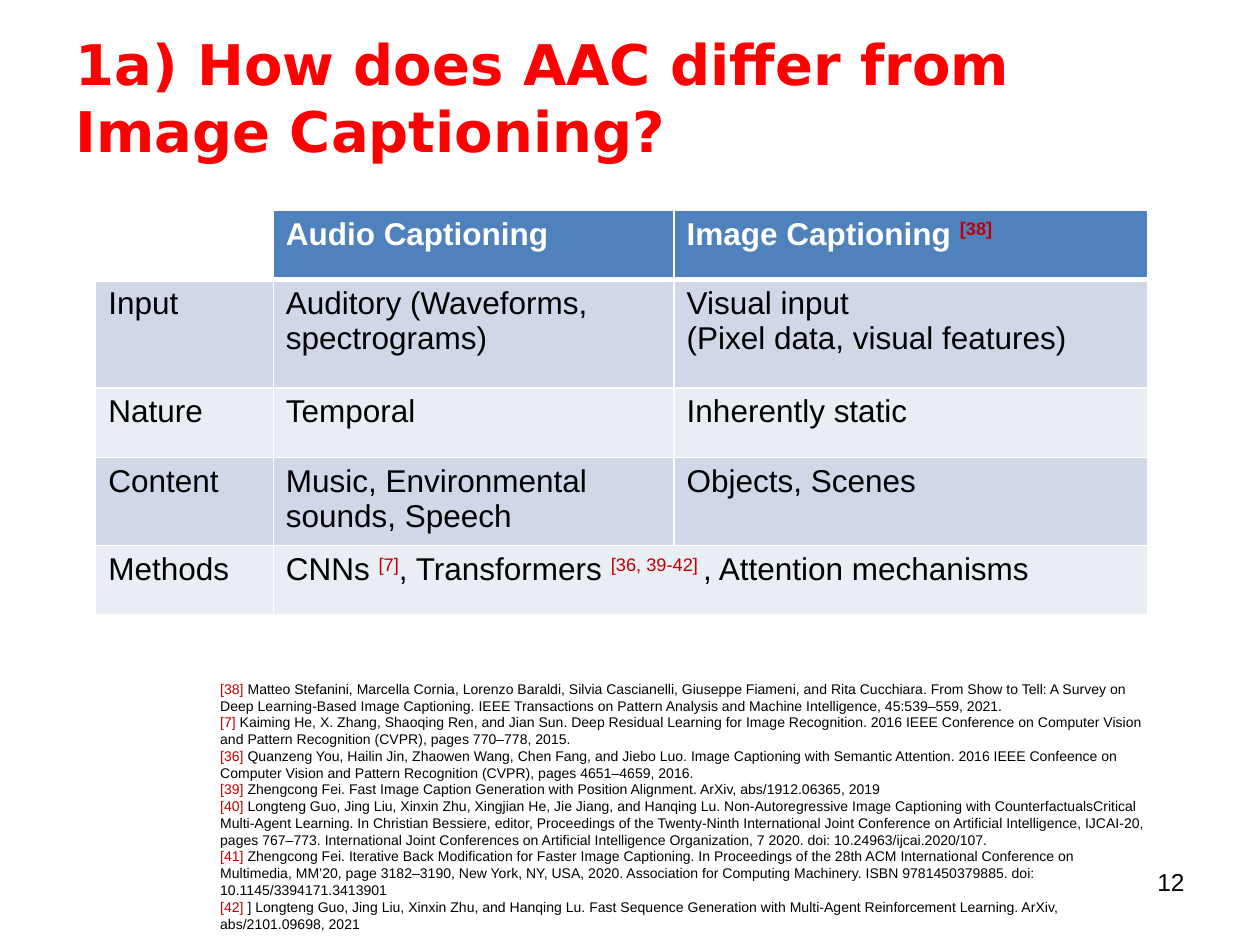
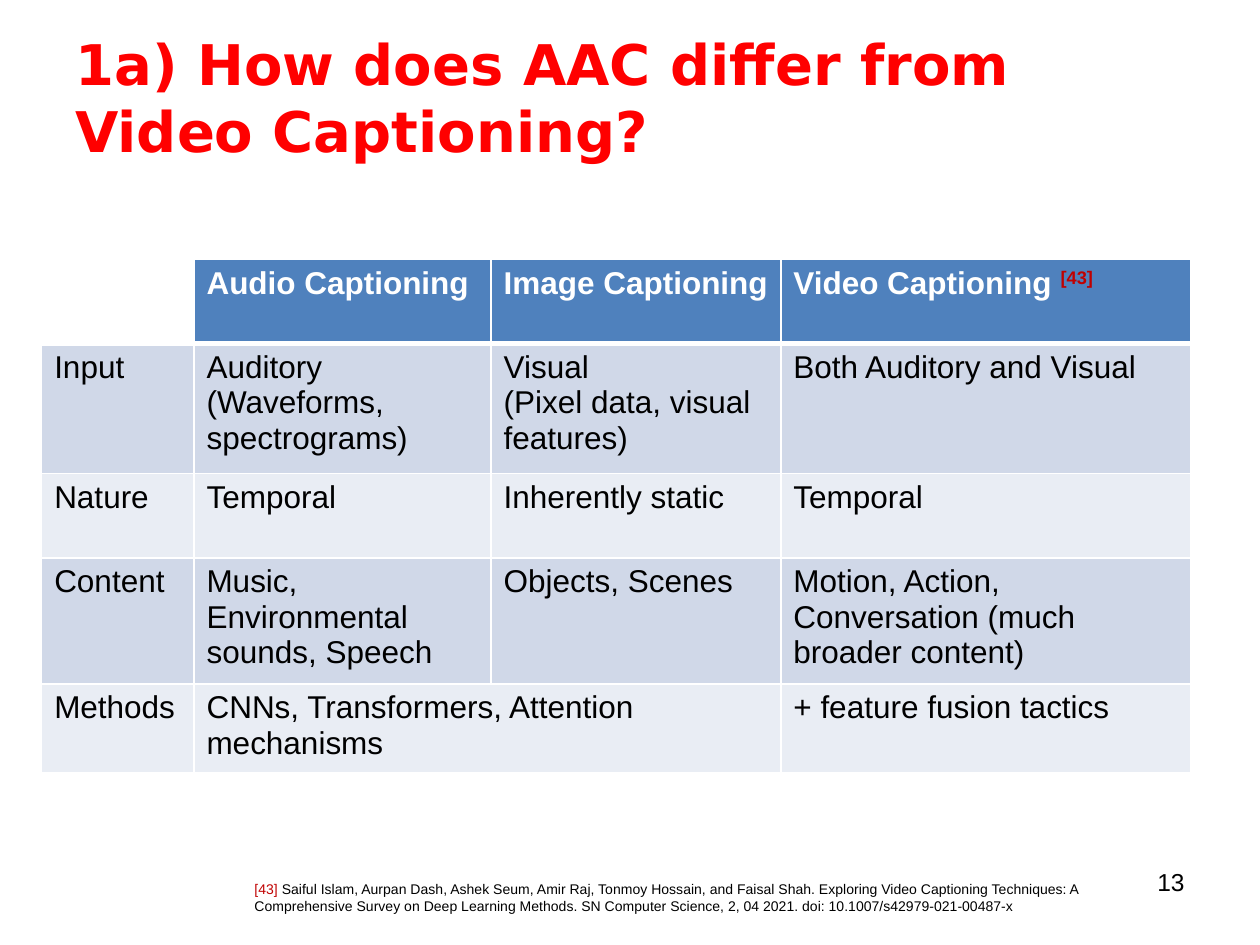
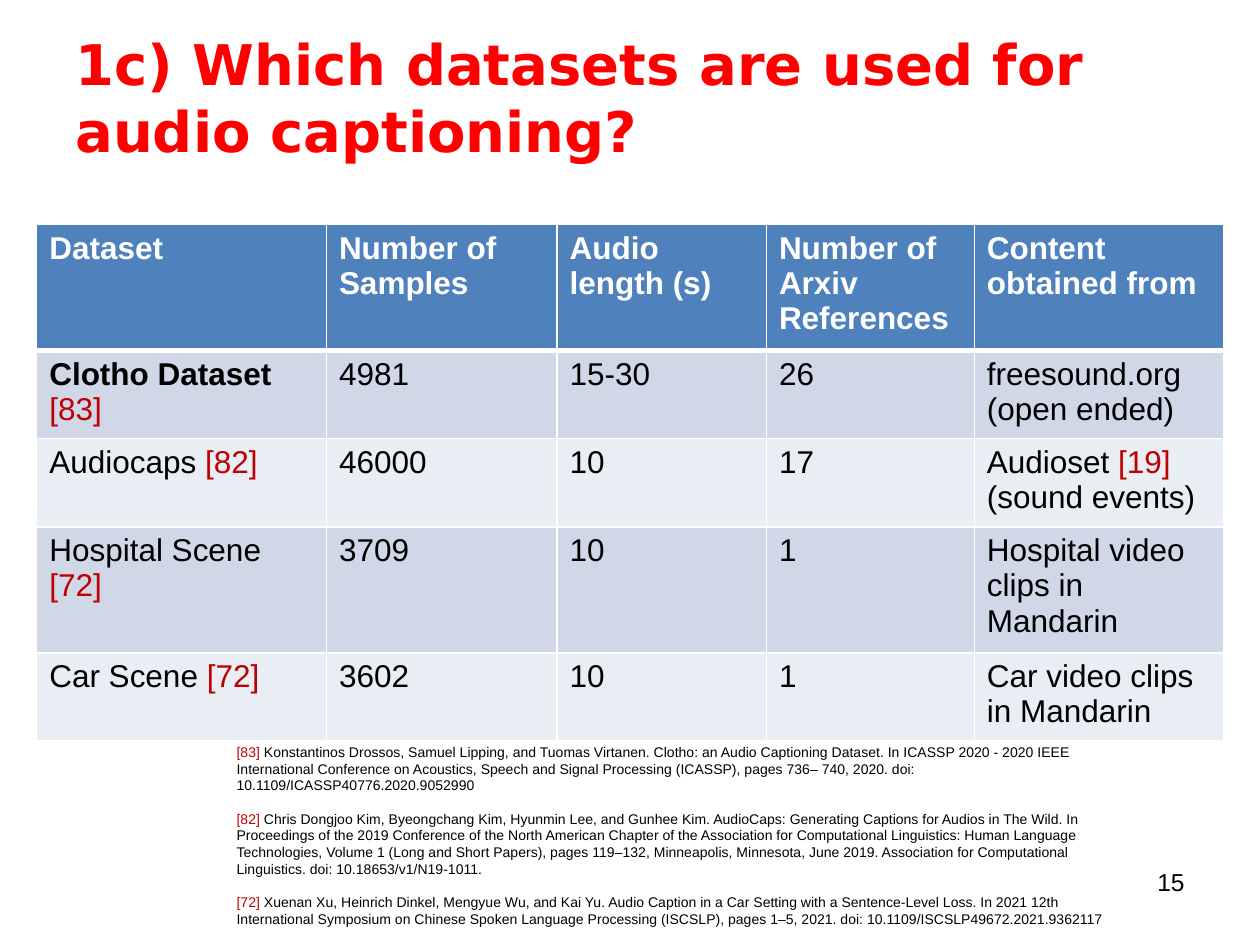
"""Build three slides comparing captioning tasks and datasets."""
from lxml.etree import SubElement
from pptx import Presentation
from pptx.dml.color import RGBColor
from pptx.enum.text import MSO_ANCHOR, PP_ALIGN
from pptx.oxml.ns import qn
from pptx.util import Cm, Pt

RED, CITE, BLACK, WHITE = "FF0000", "C00000", "000000", "FFFFFF"
HEAD, BANDS = "4F81BD", ("D0D8E8", "E9EDF4")
TITLE = dict(name="DejaVu Sans", size=Pt(32), bold=True)
NUMBER = dict(name="Arial", size=Pt(14), bold=False)
NOTE = dict(name="Arial", size=Pt(8), bold=False)
CELL = dict(name="Arial", size=Pt(18), bold=False)
STRONG = {**CELL, "bold": True}

# Text between bars is a citation; None joins a cell to the one on its left.
SLIDES = [
    dict(
        title="1a) How does AAC differ from Image Captioning?", page="12", raised=True,
        at=(1.93, 4.24), cols=(3.58, 8.08, 9.55), rows=(1.4, 2.18, 1.4, 1.78, 1.4),
        cells=[
            ("", "Audio Captioning", "Image Captioning |[38]|"),
            ("Input", "Auditory (Waveforms, spectrograms)",
             "Visual input\n(Pixel data, visual features)"),
            ("Nature", "Temporal", "Inherently static"),
            ("Content", "Music, Environmental sounds, Speech", "Objects, Scenes"),
            ("Methods", "CNNs |[7]|, Transformers |[36, 39-42] |, Attention mechanisms", None),
        ],
        box=(4.19, 13.59, 19.2, 5.38), gap=0,
        notes=[
            "|[38]| Matteo Stefanini, Marcella Cornia, Lorenzo Baraldi, Silvia Cascianelli, Giuseppe Fiameni, and Rita Cucchiara. From Show to Tell: A Survey on Deep Learning-Based Image Captioning. IEEE Transactions on Pattern Analysis and Machine Intelligence, 45:539–559, 2021.",
            "|[7]| Kaiming He, X. Zhang, Shaoqing Ren, and Jian Sun. Deep Residual Learning for Image Recognition. 2016 IEEE Conference on Computer Vision and Pattern Recognition (CVPR), pages 770–778, 2015.",
            "|[36]| Quanzeng You, Hailin Jin, Zhaowen Wang, Chen Fang, and Jiebo Luo. Image Captioning with Semantic Attention. 2016 IEEE Confeence on Computer Vision and Pattern Recognition (CVPR), pages 4651–4659, 2016.",
            "|[39]| Zhengcong Fei. Fast Image Caption Generation with Position Alignment. ArXiv, abs/1912.06365, 2019",
            "|[40]| Longteng Guo, Jing Liu, Xinxin Zhu, Xingjian He, Jie Jiang, and Hanqing Lu. Non-Autoregressive Image Captioning with CounterfactualsCritical Multi-Agent Learning. In Christian Bessiere, editor, Proceedings of the Twenty-Ninth International Joint Conference on Artificial Intelligence, IJCAI-20, pages 767–773. International Joint Conferences on Artificial Intelligence Organization, 7 2020. doi: 10.24963/ijcai.2020/107.",
            "|[41]| Zhengcong Fei. Iterative Back Modification for Faster Image Captioning. In Proceedings of the 28th ACM International Conference on Multimedia, MM’20, page 3182–3190, New York, NY, USA, 2020. Association for Computing Machinery. ISBN 9781450379885. doi: 10.1145/3394171.3413901",
            "|[42]| ] Longteng Guo, Jing Liu, Xinxin Zhu, and Hanqing Lu. Fast Sequence Generation with Multi-Agent Reinforcement Learning. ArXiv, abs/2101.09698, 2021",
        ],
    ),
    dict(
        title="1a) How does AAC differ from Video Captioning?", page="13", raised=True,
        at=(0.84, 5.23), cols=(3.07, 5.99, 5.84, 8.26), rows=(1.7, 2.62, 1.7, 2.13, 1.7),
        cells=[
            ("", "Audio Captioning", "Image Captioning", "Video Captioning |[43]|"),
            ("Input", "Auditory (Waveforms, spectrograms)",
             "Visual\n(Pixel data, visual features)", "Both Auditory and Visual"),
            ("Nature", "Temporal", "Inherently static", "Temporal"),
            ("Content", "Music, Environmental sounds, Speech", "Objects, Scenes",
             "Motion, Action, Conversation (much broader content)"),
            ("Methods", "CNNs, Transformers, Attention mechanisms", None,
             "+ feature fusion tactics"),
        ],
        box=(4.88, 17.63, 17.17, 0.94), gap=0,
        notes=[
            "|[43]| Saiful Islam, Aurpan Dash, Ashek Seum, Amir Raj, Tonmoy Hossain, and Faisal Shah. Exploring Video Captioning Techniques: A Comprehensive Survey on Deep Learning Methods. SN Computer Science, 2, 04 2021. doi: 10.1007/s42979-021-00487-x",
        ],
    ),
    dict(
        title="1c) Which datasets are used for audio captioning?", page="15", raised=False,
        at=(0.74, 4.52), cols=(5.84, 4.65, 4.22, 4.19, 5.03), rows=(2.41, 1.7, 1.65, 1.7, 1.65),
        cells=[
            ("Dataset", "Number of Samples", "Audio length (s)",
             "Number of Arxiv References", "Content obtained from"),
            ("Clotho Dataset |[83]|", "4981", "15-30", "26", "freesound.org (open ended)"),
            ("Audiocaps |[82]|", "46000", "10", "17", "Audioset |[19]|\n(sound events)"),
            ("Hospital Scene |[72]|", "3709", "10", "1", "Hospital video clips in Mandarin"),
            ("Car Scene |[72]|", "3602", "10", "1", "Car video clips in Mandarin"),
        ],
        bold="Clotho Dataset ",
        box=(4.52, 14.86, 18.59, 4.01), gap=9.5,
        notes=[
            "|[83]| Konstantinos Drossos, Samuel Lipping, and Tuomas Virtanen. Clotho: an Audio Captioning Dataset. In ICASSP 2020 - 2020 IEEE International Conference on Acoustics, Speech and Signal Processing (ICASSP), pages 736– 740, 2020. doi: 10.1109/ICASSP40776.2020.9052990",
            "|[82]| Chris Dongjoo Kim, Byeongchang Kim, Hyunmin Lee, and Gunhee Kim. AudioCaps: Generating Captions for Audios in The Wild. In Proceedings of the 2019 Conference of the North American Chapter of the Association for Computational Linguistics: Human Language Technologies, Volume 1 (Long and Short Papers), pages 119–132, Minneapolis, Minnesota, June 2019. Association for Computational Linguistics. doi: 10.18653/v1/N19-1011.",
            "|[72]| Xuenan Xu, Heinrich Dinkel, Mengyue Wu, and Kai Yu. Audio Caption in a Car Setting with a Sentence-Level Loss. In 2021 12th International Symposium on Chinese Spoken Language Processing (ISCSLP), pages 1–5, 2021. doi: 10.1109/ISCSLP49672.2021.9362117",
        ],
    ),
]


def paint(item, tone):
    item.rgb = RGBColor.from_string(tone)


def write(frame, lines, style, tone=BLACK, raised=False, gap=0, bold=None):
    for i, line in enumerate(lines):
        para = frame.add_paragraph() if i else frame.paragraphs[0]
        if i and gap:
            para.space_before = Pt(gap)
        for j, part in enumerate(line.split("|")):
            if not part:
                continue
            run = para.add_run()
            run.text = part
            for key, value in style.items():
                setattr(run.font, key, value)
            if part == bold:
                run.font.bold = True
            paint(run.font.color, CITE if j % 2 else tone)
            if j % 2 and raised:
                run.font._element.set("baseline", "30000")


def add_text(slide, box, lines, style, **extra):
    frame = slide.shapes.add_textbox(*map(Cm, box)).text_frame
    frame.word_wrap = True
    write(frame, lines, style, **extra)
    return frame


def edge(cell, row):
    widths = dict(L=1, R=1, T=3 if row == 1 else 1, B=1 if row else 3)
    for side, width in widths.items():
        line = SubElement(cell._tc.get_or_add_tcPr(), qn(f"a:ln{side}"), w=str(Pt(width)))
        SubElement(SubElement(line, qn("a:solidFill")), qn("a:srgbClr"), val=WHITE)


def add_grid(slide, data):
    cols, rows, cells = data["cols"], data["rows"], data["cells"]
    size = (sum(cols), sum(rows))
    table = slide.shapes.add_table(len(rows), len(cols), *map(Cm, data["at"] + size)).table
    table.first_row = table.horz_banding = False
    for col, width in zip(table.columns, cols):
        col.width = Cm(width)
    for r, texts in enumerate(cells):
        table.rows[r].height = Cm(rows[r])
        for c, text in enumerate(texts):
            cell = table.cell(r, c)
            edge(cell, r)
            cell.fill.solid()
            shade = BANDS[(r - 1) % 2] if r else HEAD if text else WHITE
            paint(cell.fill.fore_color, shade)
            if text is None:
                table.cell(r, c - 1).merge(cell)
            elif text:
                write(cell.text_frame, text.split("\n"), CELL if r else STRONG,
                      BLACK if r else WHITE, data["raised"], bold=data.get("bold"))


def main():
    deck = Presentation()
    deck.slide_width, deck.slide_height = Cm(25.4), Cm(19.05)
    for data in SLIDES:
        slide = deck.slides.add_slide(deck.slide_layouts[6])
        title = add_text(slide, (1.27, 0.79, 22.86, 2.31), [data["title"]], TITLE, tone=RED)
        title.vertical_anchor = MSO_ANCHOR.MIDDLE
        page = add_text(slide, (18.21, 17.35, 5.92, 1.32), [data["page"]], NUMBER)
        page.paragraphs[0].alignment = PP_ALIGN.RIGHT
        add_grid(slide, data)
        add_text(slide, data["box"], data["notes"], NOTE, gap=data["gap"])
    deck.save("out.pptx")


if __name__ == "__main__":
    main()
